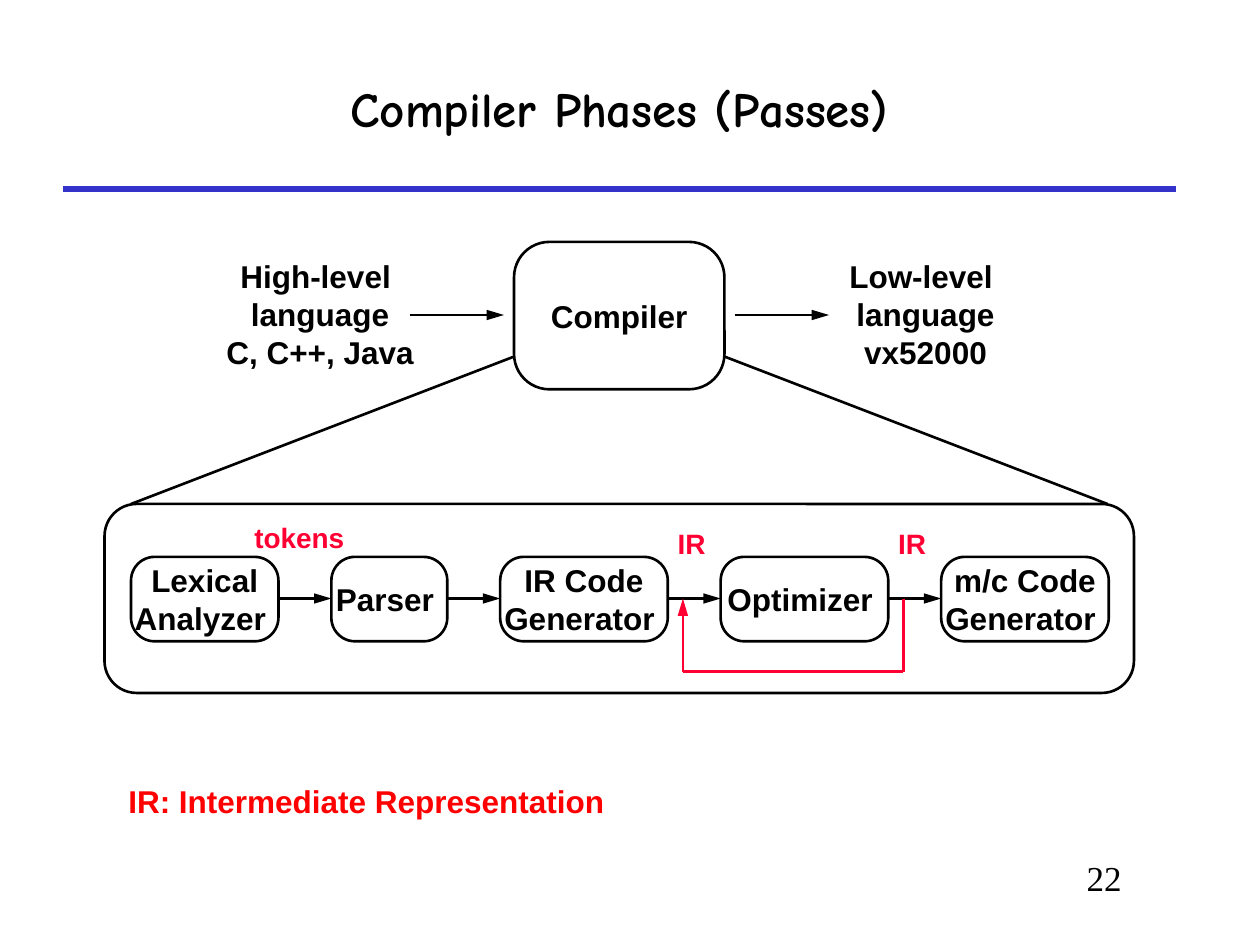
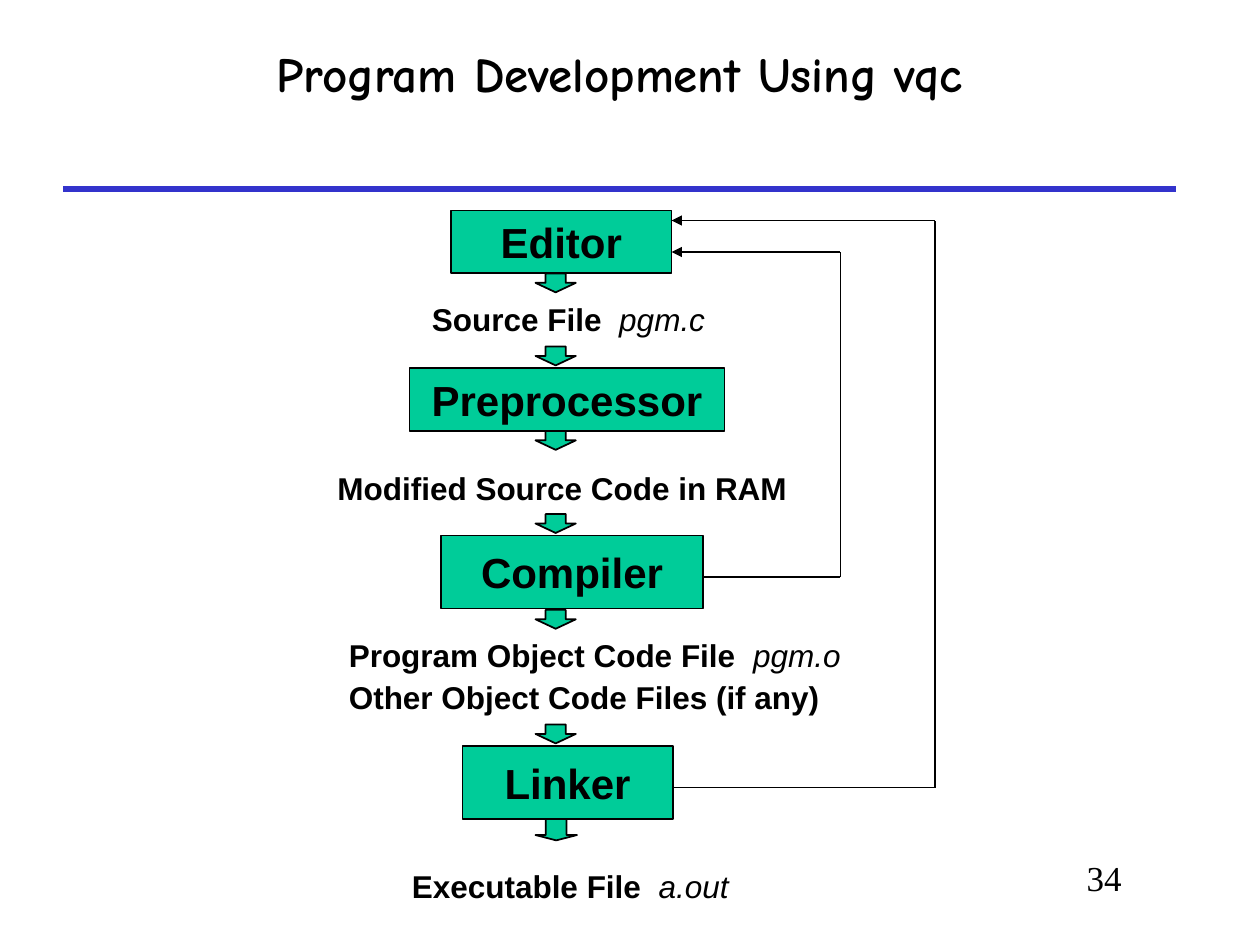
from itertools import pairwise

from lxml import etree
from pptx import Presentation
from pptx import util as u
from pptx.dml.color import RGBColor
from pptx.enum import shapes, text
from pptx.oxml import ns

BLACK, WHITE, BLUE = "000000", "FFFFFF", "3333CC"
RED, LOOP_RED, GREEN = "FF0000", "FF0033", "00CC99"
LEFT, CENTER, RIGHT = text.PP_ALIGN.LEFT, text.PP_ALIGN.CENTER, text.PP_ALIGN.RIGHT
TOP, MIDDLE, BOTTOM = text.MSO_ANCHOR.TOP, text.MSO_ANCHOR.MIDDLE, text.MSO_ANCHOR.BOTTOM
RECTANGLE = shapes.MSO_SHAPE.RECTANGLE
ROUNDED = shapes.MSO_SHAPE.ROUNDED_RECTANGLE
DOWN_ARROW = shapes.MSO_SHAPE.DOWN_ARROW


def add_box(page, place, lines=(), kind=None, fill=WHITE, weight=1.5, adjust=(),
            size=18, color=BLACK, font="Arial", bold=True, align=CENTER,
            anchor=MIDDLE, wrap=False, file_name=""):
    """Add a preset shape, the title placeholder ("title") or a text box (None)."""
    frame_place = [u.Inches(value) for value in place]
    if kind is None:
        box = page.shapes.add_textbox(*frame_place)
    elif kind == "title":
        box = page.shapes.title
        box.left, box.top, box.width, box.height = frame_place
    else:
        box = page.shapes.add_shape(kind, *frame_place)
        box.shadow.inherit = False
        box.fill.solid()
        box.fill.fore_color.rgb = RGBColor.from_string(fill)
        box.line.color.rgb = RGBColor.from_string(BLACK)
        box.line.width = u.Pt(weight)
        for index, value in enumerate(adjust):
            box.adjustments[index] = value

    frame_format = {"word_wrap": wrap, "vertical_anchor": anchor,
                    "auto_size": text.MSO_AUTO_SIZE.NONE}
    for name, value in frame_format.items():
        setattr(box.text_frame, name, value)
    for index, line in enumerate(lines):
        para = box.text_frame.add_paragraph() if index else box.text_frame.paragraphs[0]
        para.alignment = align
        spans = [(line, bold, False)]
        if file_name:
            spans.append((file_name, False, True))
        for words, is_bold, is_italic in spans:
            span = para.add_run()
            span.text = words
            span.font.color.rgb = RGBColor.from_string(color)
            span_format = {"name": font, "size": u.Pt(size), "bold": is_bold, "italic": is_italic}
            for name, value in span_format.items():
                setattr(span.font, name, value)


def add_route(page, points, color=BLACK, weight=1.5, arrow="lg"):
    """Join the points with straight connectors; arrow is the length of the last one's head."""
    for start, end in pairwise(points):
        line = page.shapes.add_connector(
            shapes.MSO_CONNECTOR.STRAIGHT, *[u.Inches(value) for value in start + end])
        line.line.color.rgb = RGBColor.from_string(color)
        line.line.width = u.Pt(weight)
        if arrow and end == points[-1]:
            etree.SubElement(line.line._get_or_add_ln(), ns.qn("a:tailEnd"),
                             type="triangle", len=arrow)
        etree.SubElement(line._element.spPr, ns.qn("a:effectLst"))


deck = Presentation()
deck.slide_width, deck.slide_height = u.Inches(10), u.Inches(7.5)

# Shared title, rule and page number
pages = []
for title, title_place, title_anchor, number in [
    ("Compiler Phases (Passes)", (0.5, 0.5, 8.83, 0.72), MIDDLE, "22"),
    ("Program Development Using vqc", (0.5, 0.33, 8.83, 0.53), BOTTOM, "34"),
]:
    page = deck.slides.add_slide(deck.slide_layouts[5])
    add_route(page, [(0.5, 1.5), (9.33, 1.5)], BLUE, 3, arrow=None)
    add_box(page, (6.92, 6.75, 2.08, 0.5), [number], size=20, font="Times New Roman",
            bold=False, align=RIGHT, anchor=TOP, wrap=True)
    add_box(page, title_place, [title], "title", size=28, font="Comic Neue",
            anchor=title_anchor, wrap=True)
    pages.append(page)
phases_page, tools_page = pages

# Compiler as a whole, with its input and output
add_box(phases_page, (4.08, 1.92, 1.67, 1.17), ["Compiler"], ROUNDED, adjust=[0.24])
for left, right in [(3.25, 4), (5.83, 6.58)]:
    add_route(phases_page, [(left, 2.5), (right, 2.5)])
for left, width, lines in [
    (1.7, 1.68, ["High-level ", "language", "C, C++, Java"]),
    (6.64, 1.41, ["Low-level ", "language", "vx52000"]),
]:
    add_box(phases_page, (left, 1.99, width, 1), lines, anchor=TOP)

# The phases inside the compiler
add_box(phases_page, (0.83, 4, 8.17, 1.5), kind=ROUNDED, adjust=[0.17])
for start, end in [((4.08, 2.83), (1.04, 4)), ((5.75, 2.83), (8.79, 4))]:
    add_route(phases_page, [start, end], arrow=None)
phases = [
    (1.17, ["Lexical", "Analyzer "]),
    (0.92, ["Parser "]),
    (1.33, ["IR Code", "Generator "]),
    (1.33, ["Optimizer "]),
    (1.33, ["m/c Code", "Generator "]),
]
phase_left, phase_gap = 1.04, 0.42
for index, (width, lines) in enumerate(phases):
    if index:
        add_route(phases_page, [(phase_left - phase_gap, 4.75), (phase_left, 4.75)])
    add_box(phases_page, (phase_left, 4.42, width, 0.67), lines, ROUNDED, adjust=[0.28])
    phase_left += width + phase_gap

add_route(phases_page, [(7.17, 4.75), (7.17, 5.33), (5.42, 5.33), (5.42, 4.75)], LOOP_RED)
for place, label, size, color in [
    ((1.92, 4.08, 0.91, 0.37), "tokens", 16, LOOP_RED),
    ((5.28, 4.13, 0.42, 0.37), "IR", 16, LOOP_RED),
    ((7.03, 4.13, 0.42, 0.37), "IR", 16, LOOP_RED),
    ((0.92, 6.16, 3.98, 0.4), "IR: Intermediate Representation", 18, RED),
]:
    add_box(phases_page, place, [label], size=size, color=color, align=LEFT, anchor=TOP)

# Tools of the chain
for place, tool in [
    ((3.58, 1.67, 1.75, 0.5), "Editor"),
    ((3.25, 2.92, 2.5, 0.5), "Preprocessor"),
    ((3.5, 4.25, 2.08, 0.58), "Compiler"),
    ((3.67, 5.92, 1.67, 0.58), "Linker"),
]:
    add_box(tools_page, place, [tool], RECTANGLE, GREEN, 1, size=24)

# Files passed between the tools
for left, top, width, label, file_name in [
    (3.33, 2.33, 2.37, "Source File  ", "pgm.c"),
    (2.58, 3.67, 3.92, "Modified Source Code in RAM", ""),
    (2.67, 5, 4.1, "Program Object Code File  ", "pgm.o"),
    (2.67, 5.33, 4.08, "Other Object Code Files (if any)", ""),
    (3.17, 6.83, 2.71, "Executable File  ", "a.out"),
]:
    add_box(tools_page, (left, top, width, 0.4), [label], align=LEFT, anchor=TOP,
            wrap=not file_name, file_name=file_name)

for top in [2.17, 2.75, 3.42, 4.08, 4.84, 5.75]:
    add_box(tools_page, (4.25, top, 0.32, 0.15), kind=DOWN_ARROW, fill=GREEN, weight=1,
            adjust=[0.5, 0.5])
add_box(tools_page, (4.25, 6.5, 0.33, 0.17), kind=DOWN_ARROW, fill=GREEN, weight=1,
        adjust=[0.5, 0.25])

# Error routes back to the editor
for tool_right, tool_y, turn, editor_y in [(5.58, 4.58, 6.67, 2), (5.33, 6.25, 7.42, 1.75)]:
    add_route(tools_page, [(tool_right, tool_y), (turn, tool_y), (turn, editor_y),
                           (5.33, editor_y)], weight=1, arrow="med")

deck.save("out.pptx")
